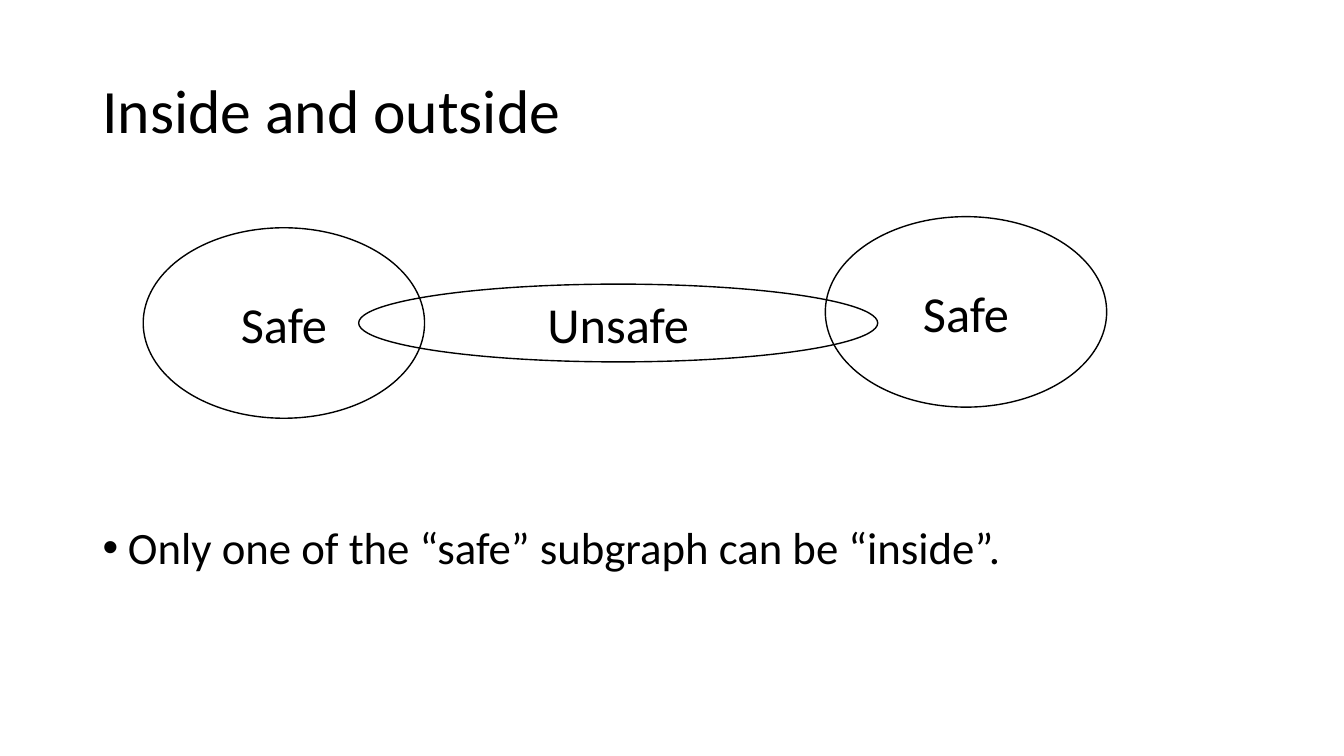
import pptx
import pptx.dml.color
import pptx.enum.shapes
import pptx.enum.text
import pptx.util
from pptx.util import Cm


def colour(hex_code):
    return pptx.dml.color.RGBColor.from_string(hex_code)


class SlideBuilder:
    font_name = "Calibri"
    ink = "000000"

    def __init__(self, slide):
        self.slide = slide

    def style(self, paragraph, size, align):
        paragraph.font.name = self.font_name
        paragraph.font.size = pptx.util.Pt(size)
        paragraph.font.color.rgb = colour(self.ink)
        paragraph.alignment = align

    def placeholder(self, index, text, box, size, anchor):
        """Place and fill a template placeholder; return its paragraph."""
        holder = self.slide.placeholders[index]
        holder.left, holder.top, holder.width, holder.height = map(Cm, box)
        frame = holder.text_frame
        frame.text = text
        frame.word_wrap = True
        frame.auto_size = pptx.enum.text.MSO_AUTO_SIZE.NONE
        frame.vertical_anchor = anchor
        paragraph = frame.paragraphs[0]
        self.style(paragraph, size, pptx.enum.text.PP_ALIGN.LEFT)
        paragraph.line_spacing = 0.9
        return paragraph

    def title(self, text, box):
        paragraph = self.placeholder(0, text, box, 44, pptx.enum.text.MSO_ANCHOR.MIDDLE)
        paragraph.space_before = pptx.util.Pt(0)

    def bullet(self, text, box):
        paragraph = self.placeholder(1, text, box, 32, pptx.enum.text.MSO_ANCHOR.TOP)
        paragraph.space_before = pptx.util.Pt(10)
        indent = Cm(0.64)
        properties = paragraph._p.get_or_add_pPr()
        properties.set("marL", str(indent))
        properties.set("indent", str(-indent))

    def subgraph(self, label, box):
        oval = self.slide.shapes.add_shape(
            pptx.enum.shapes.MSO_SHAPE.OVAL, *map(Cm, box))
        oval.shadow.inherit = False
        oval.fill.background()
        oval.line.color.rgb = colour(self.ink)
        oval.line.width = pptx.util.Pt(1)
        frame = oval.text_frame
        frame.text = label
        frame.word_wrap = True
        frame.vertical_anchor = pptx.enum.text.MSO_ANCHOR.MIDDLE
        self.style(frame.paragraphs[0], 36, pptx.enum.text.PP_ALIGN.CENTER)


def main():
    deck = pptx.Presentation()
    deck.slide_width, deck.slide_height = Cm(33.87), Cm(19.05)
    builder = SlideBuilder(deck.slides.add_slide(deck.slide_layouts[1]))

    builder.title("Inside and outside", (2.33, 1.02, 29.21, 3.68))
    safe_size = (7.09, 4.8)
    for safe_corner in ((3.61, 5.74), (20.8, 5.46)):
        builder.subgraph("Safe", safe_corner + safe_size)
    builder.subgraph("Unsafe", (9.04, 7.16, 13.08, 1.96))
    builder.bullet("Only one of the “safe” subgraph can be “inside”.",
                   (2.33, 13.11, 29.21, 4.06))

    deck.save("out.pptx")


if __name__ == "__main__":
    main()
